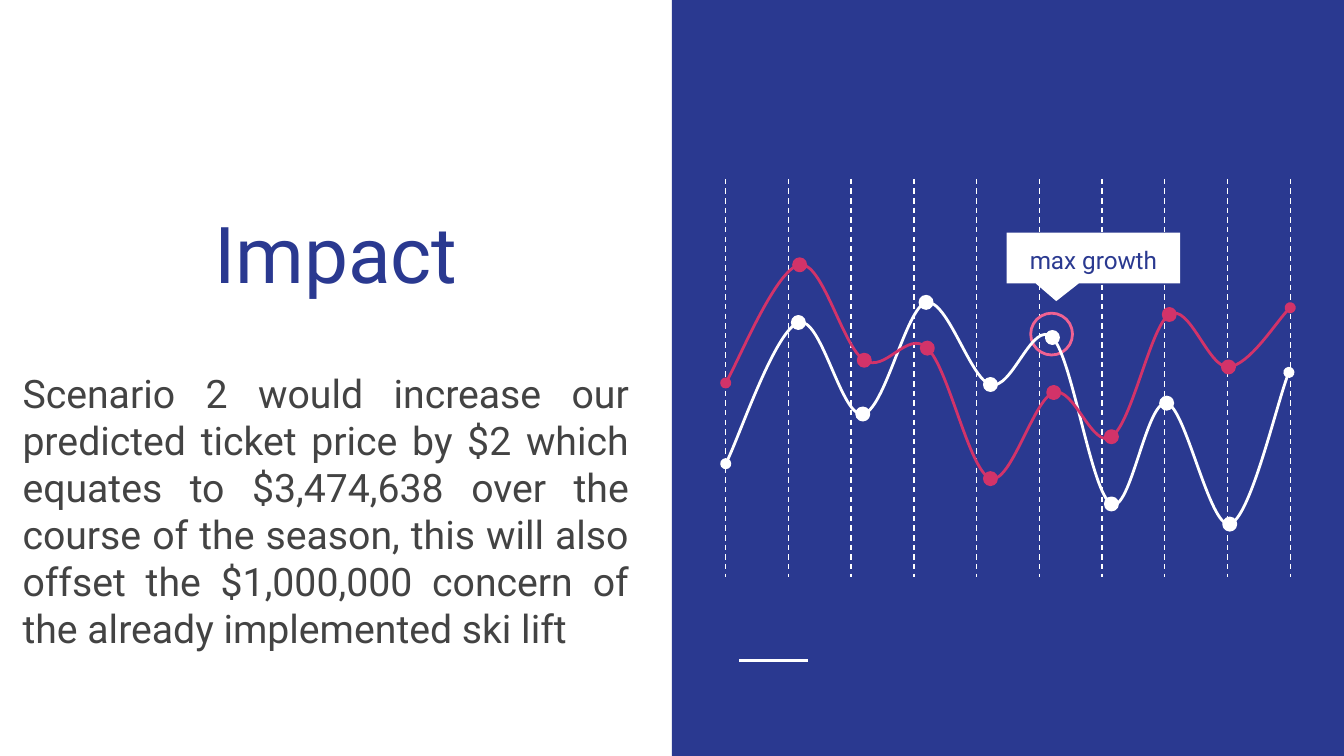
from lxml.etree import SubElement
from pptx import Presentation
from pptx.dml.color import RGBColor
from pptx.enum.dml import MSO_LINE
from pptx.enum.shapes import MSO_CONNECTOR, MSO_SHAPE
from pptx.enum.text import MSO_ANCHOR, PP_ALIGN
from pptx.oxml.ns import qn
from pptx.util import Pt

COLORS = {
    "navy": "2A3990",
    "white": "FFFFFF",
    "crimson": "D23369",
    "pink": "F06292",
    "gray": "434343",
}
INSET = 7.2
DOT = 6.5
GRID_COUNT = 10

WHITE_SERIES = [
    (0, 152.6),
    (6.5, 140.4), (26.6, 81.4), (38.9, 77),
    (51.1, 72.7), (61.9, 128.2), (73.4, 126),
    (85, 124.6), (96.5, 69.1), (107.3, 66.2),
    (118.8, 64.1), (131, 107.3), (141.8, 110.2),
    (153.4, 113.8), (164.2, 74.9), (175, 85),
    (185.8, 95.8), (195.8, 168.5), (206.6, 174.2),
    (216.7, 180), (225.4, 118.1), (236.2, 120.2),
    (246.2, 121.7), (259.2, 187.2), (270, 185),
    (280.8, 182.2), (295.9, 117.4), (301.7, 103.7),
]
CRIMSON_SERIES = [
    (0, 109.4),
    (6.5, 98.6), (27.4, 48.2), (39.6, 46.1),
    (51.8, 43.9), (62.6, 90), (74.2, 97.2),
    (85.7, 104.4), (97.2, 80.6), (108, 90.7),
    (119.5, 101.5), (130.3, 156.2), (141.8, 160.6),
    (152.6, 164.2), (164.9, 118.1), (175.7, 114.5),
    (186.5, 110.9), (196.6, 145.4), (206.6, 138.2),
    (217.4, 131.8), (227.5, 79.2), (237.6, 72.7),
    (248.4, 66.2), (258.5, 101.5), (269.3, 100.8),
    (280.1, 100.1), (296.6, 74.2), (302.4, 69.1),
]


def rgb(color):
    """Return the named colour as an RGBColor."""
    return RGBColor.from_string(COLORS[color])


def apply(target, values):
    """Set each attribute in values on target."""
    for attribute, value in values.items():
        setattr(target, attribute, value)


def paint(shape, fill=None, line=None):
    """Give a shape its fill and outline, without a shadow."""
    shape.shadow.inherit = False
    if fill:
        shape.fill.solid()
        shape.fill.fore_color.rgb = rgb(fill)
    else:
        shape.fill.background()
    if line:
        shape.line.color.rgb = rgb(line)
        shape.line.width = Pt(1.5)
    else:
        shape.line.fill.background()


def add_box(slide, kind, box, fill=None, line=None):
    """Add a painted preset shape in the given box."""
    shape = slide.shapes.add_shape(kind, *map(Pt, box))
    paint(shape, fill, line)
    return shape


def add_rule(slide, start, end, width, dash=None):
    """Add a straight white line."""
    rule = slide.shapes.add_connector(
        MSO_CONNECTOR.STRAIGHT, *map(Pt, (*start, *end))
    )
    rule.line.color.rgb = rgb("white")
    apply(rule.line, {"width": Pt(width), "dash_style": dash})
    SubElement(rule._element.spPr, qn("a:effectLst"))


def write(shape, wording, size, color, align, anchor, spacing=1.0):
    """Write one formatted paragraph into a shape."""
    frame = shape.text_frame
    apply(frame, {"word_wrap": True, "vertical_anchor": anchor})
    apply(frame, {
        f"margin_{side}": Pt(INSET) for side in ("left", "top", "right", "bottom")
    })
    paragraph = frame.paragraphs[0]
    apply(paragraph, {"alignment": align, "line_spacing": spacing})
    run = paragraph.add_run()
    run.text = wording
    apply(run.font, {"name": "Roboto", "size": Pt(size)})
    run.font.color.rgb = rgb(color)


def add_curve(slide, left, top, points, color):
    """Add a Bézier curve with round end markers."""
    start, *controls = [(Pt(left + x), Pt(top + y)) for x, y in points]
    builder = slide.shapes.build_freeform(*start)
    builder.add_line_segments(controls, close=False)
    curve = builder.convert_to_shape()
    paint(curve, line=color)
    segments = list(curve._element.iter(qn("a:lnTo")))
    for first in range(0, len(segments), 3):
        bezier = SubElement(segments[first].getparent(), qn("a:cubicBezTo"))
        for segment in segments[first:first + 3]:
            bezier.append(segment[0])
            segment.getparent().remove(segment)
    for end in ("a:headEnd", "a:tailEnd"):
        SubElement(curve.line._get_or_add_ln(), qn(end), type="oval")


def add_series(slide, left, top, points, color):
    """Add a curve and a dot on each of its inner knots."""
    add_curve(slide, left, top, points, color)
    for x, y in points[3:-1:3]:
        dot = (left + x - DOT / 2, top + y - DOT / 2, DOT, DOT)
        add_box(slide, MSO_SHAPE.OVAL, dot, color, color)


def add_callout(slide, left, top, width, height):
    """Add the label pointing at the peak."""
    callout = add_box(
        slide, MSO_SHAPE.ROUNDED_RECTANGULAR_CALLOUT,
        (left, top, width, height), "white",
    )
    for index, value in enumerate((-0.214, 0.85, 0)):
        callout.adjustments[index] = value
    write(callout, "max growth", 13, "navy", PP_ALIGN.CENTER, MSO_ANCHOR.MIDDLE, 1.15)


def add_growth_graph(slide, left, top, width, height):
    """Draw the dashed grid, both series and the marked peak."""
    for index in range(GRID_COUNT):
        x = left + width * index / (GRID_COUNT - 1)
        add_rule(slide, (x, top), (x, top + height), 0.75, MSO_LINE.DASH)
    add_box(slide, MSO_SHAPE.OVAL, (left + 163.4, top + 72, 22.4, 22.4), line="pink")
    add_series(slide, left, top, WHITE_SERIES, "white")
    add_callout(slide, left + 150.5, top + 28.8, 92.9, 27.2)
    add_series(slide, left, top, CRIMSON_SERIES, "crimson")


def add_graph_panel(slide, left, top, width, height):
    """Fill the navy half with its accent rule and graph."""
    add_box(slide, MSO_SHAPE.RECTANGLE, (left, top, width, height), "navy")
    accent = top + 354
    add_rule(slide, (left + 36, accent), (left + 72.7, accent), 1.5)
    add_growth_graph(slide, left + 28.8, top + 95.8, 302.4, 213.1)


def add_impact_text(slide, left, top, width, height):
    """Write the heading and the summary in the white half."""
    heading = slide.shapes.add_textbox(
        *map(Pt, (left + 20.9, top + 44.6, width - 41.8, 123.1))
    )
    write(heading, "Impact", 42, "navy", PP_ALIGN.CENTER, MSO_ANCHOR.BOTTOM)
    summary = slide.shapes.add_textbox(
        *map(Pt, (left + 5, top + 190.8, width - 20.9, height - 304.9))
    )
    write(
        summary,
        "Scenario 2 would increase our predicted ticket price by $2 which "
        "equates to $3,474,638 over the course of the season, this will also "
        "offset the $1,000,000 concern of the already implemented ski lift",
        21, "gray", PP_ALIGN.JUSTIFY, MSO_ANCHOR.TOP,
    )


def main():
    """Build and save the slide."""
    deck = Presentation()
    apply(deck, {"slide_width": Pt(720), "slide_height": Pt(405)})
    slide = deck.slides.add_slide(deck.slide_layouts[6])
    add_graph_panel(slide, 360, 0, 360, 405)
    add_impact_text(slide, 0, 0, 360, 405)
    deck.save("out.pptx")


if __name__ == "__main__":
    main()
